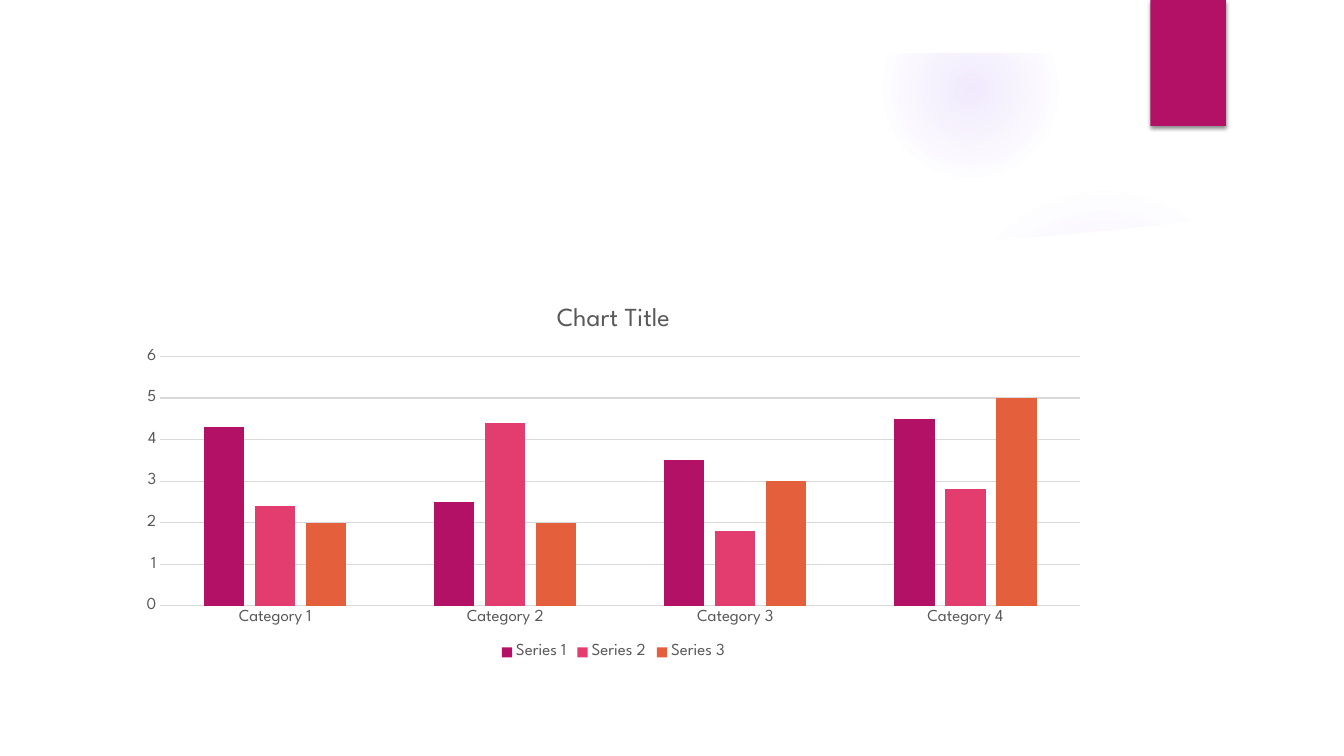
from lxml import etree
from pptx import Presentation
from pptx.chart.data import CategoryChartData
from pptx.dml.color import RGBColor
from pptx.enum.chart import XL_CHART_TYPE, XL_LEGEND_POSITION, XL_TICK_MARK
from pptx.enum.shapes import MSO_SHAPE
from pptx.oxml import parse_xml
from pptx.oxml.ns import nsdecls, qn
from pptx.util import Inches, Pt

FONT = "League Spartan"
WHITE, MAGENTA, PINK, ORANGE = "FFFFFF", "B31166", "E33D6F", "E45F3C"
GLOW, GREY, GRID = "9B6BF2", "595959", "D9D9D9"


def paint(fill, colour):
    fill.solid()
    fill.fore_color.rgb = RGBColor.from_string(colour)


def style_font(font, size):
    font.name = FONT
    font.size = Pt(size)
    font.bold = False
    paint(font.fill, GREY)


prs = Presentation()
prs.slide_width, prs.slide_height = Inches(13.33), Inches(7.5)
slide = prs.slides.add_slide(prs.slide_layouts[6])
paint(slide.background.fill, WHITE)
shapes = slide.shapes

# Soft violet glows: left, top, diameter, (position %, opacity %) stops
glows = [
    (9.41, 1.83, 3.08, [(0, 7), (36, 6), (69, 0)]),
    (8.75, 0.01, 1.75, [(0, 14), (36, 7), (73, 0)]),
]
for left, top, diameter, stops in glows:
    glow = shapes.add_shape(MSO_SHAPE.OVAL, Inches(left), Inches(top),
                            Inches(diameter), Inches(diameter))
    glow.shadow.inherit = False
    glow.line.fill.background()
    glow.fill.background()
    stop_xml = "".join(
        f'<a:gs pos="{position * 1000}"><a:srgbClr val="{GLOW}">'
        f'<a:alpha val="{opacity * 1000}"/></a:srgbClr></a:gs>'
        for position, opacity in stops)
    gradient = parse_xml(
        f'<a:gradFill {nsdecls("a")}><a:gsLst>{stop_xml}</a:gsLst><a:path path="circle">'
        '<a:fillToRect l="50000" t="50000" r="50000" b="50000"/></a:path></a:gradFill>')
    properties = glow._element.spPr
    properties.replace(properties.find(qn("a:noFill")), gradient)

# White panel with a curved top edge, then the white frame around the slide
curve = [(0.5, 2.04), (1.35, 2.15), (2.49, 2.27), (3.6, 2.36), (4.88, 2.43),
         (6.07, 2.47), (7.08, 2.48), (8.13, 2.46), (8.94, 2.44), (9.76, 2.39),
         (10.32, 2.35), (10.88, 2.3), (11.44, 2.24), (12, 2.17), (12.84, 2.04)]
outline = [(Inches(x), Inches(y)) for x, y in curve + [(12.84, 7), (0.5, 7)]]
builder = shapes.build_freeform(*outline[0], scale=1.0)
builder.add_line_segments(outline[1:], close=True)
panel = builder.convert_to_shape()

frame = shapes.add_shape(MSO_SHAPE.FRAME, 0, 0, prs.slide_width, prs.slide_height)
frame.adjustments[0] = 0.07

ribbon = shapes.add_shape(MSO_SHAPE.RECTANGLE, Inches(11.41), 0, Inches(0.75), Inches(1.25))

for part, colour in [(panel, WHITE), (frame, WHITE), (ribbon, MAGENTA)]:
    part.shadow.inherit = False
    part.line.fill.background()
    paint(part.fill, colour)

shadow = etree.SubElement(ribbon._element.spPr.find(qn("a:effectLst")), qn("a:outerShdw"),
                          blurRad=str(Pt(3)), dist=str(Pt(2)), dir="5400000", rotWithShape="0")
shadow_colour = etree.SubElement(shadow, qn("a:srgbClr"), val="000000")
etree.SubElement(shadow_colour, qn("a:alpha"), val="45000")

# Column chart
chart_data = CategoryChartData()
chart_data.categories = [f"Category {number}" for number in range(1, 5)]
chart_data.add_series("Series 1", (4.3, 2.5, 3.5, 4.5))
chart_data.add_series("Series 2", (2.4, 4.4, 1.8, 2.8))
chart_data.add_series("Series 3", (2, 2, 3, 5))
chart = shapes.add_chart(XL_CHART_TYPE.COLUMN_CLUSTERED, Inches(1.26), Inches(2.85),
                         Inches(9.65), Inches(3.74), chart_data).chart
style_font(chart.font, 12)

chart.has_title = True
heading = chart.chart_title.text_frame
heading.text = "Chart Title"
style_font(heading.paragraphs[0].runs[0].font, 18.6)
chart.chart_title.include_in_layout = False

chart.has_legend = True
chart.legend.position = XL_LEGEND_POSITION.BOTTOM
chart.legend.include_in_layout = False
style_font(chart.legend.font, 12)

columns = chart.plots[0]
columns.vary_by_categories = False
columns.gap_width = 219
columns.overlap = -27
for series, colour in zip(columns.series, (MAGENTA, PINK, ORANGE)):
    paint(series.format.fill, colour)

categories, values = chart.category_axis, chart.value_axis
for axis in (categories, values):
    axis.major_tick_mark = axis.minor_tick_mark = XL_TICK_MARK.NONE
    style_font(axis.tick_labels.font, 12)
values.minimum_scale, values.maximum_scale, values.major_unit = 0, 6, 1
values.format.line.fill.background()
values.has_major_gridlines = True
for line in (categories.format.line, values.major_gridlines.format.line):
    paint(line.fill, GRID)
    line.width = Pt(0.75)

prs.save("out.pptx")
